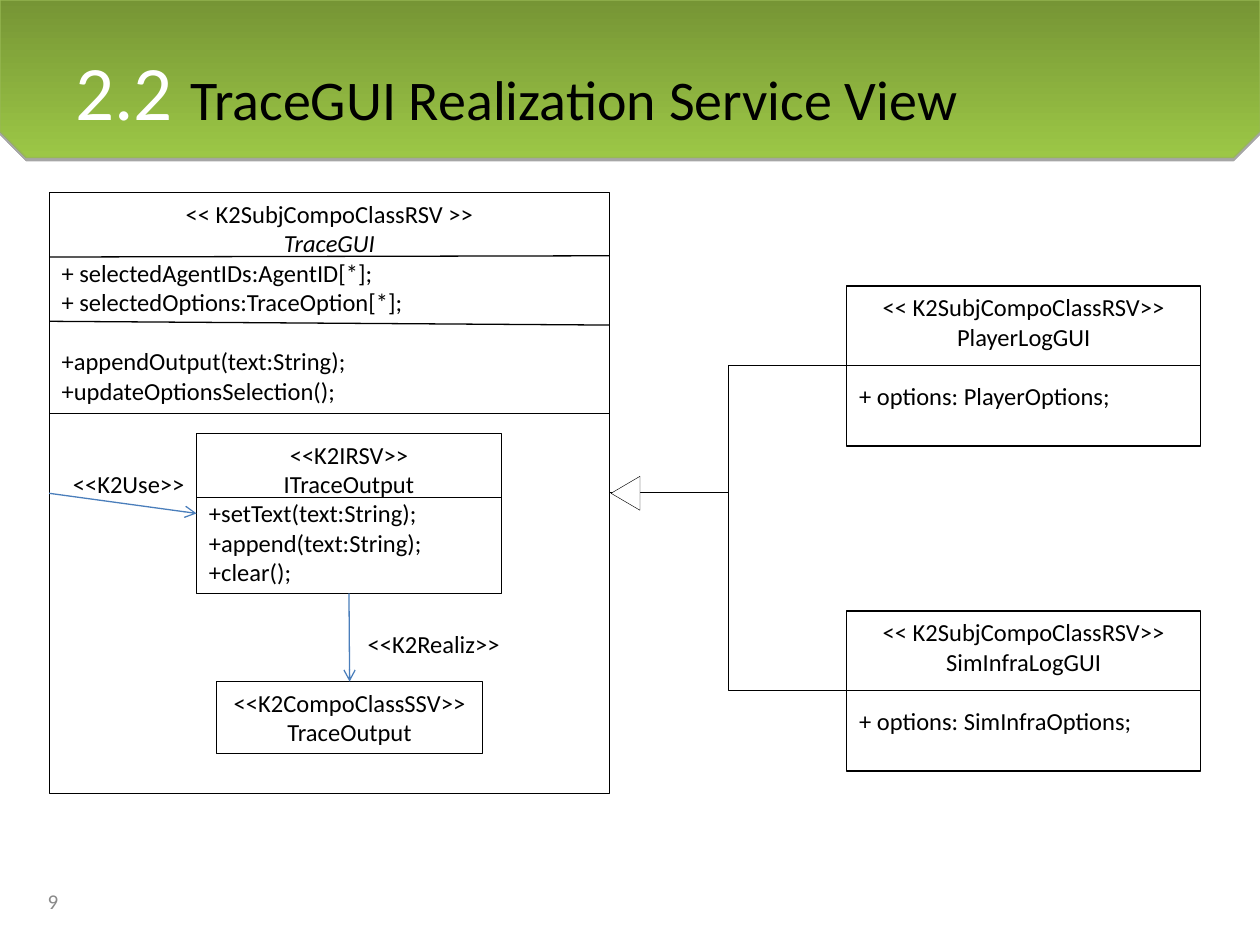
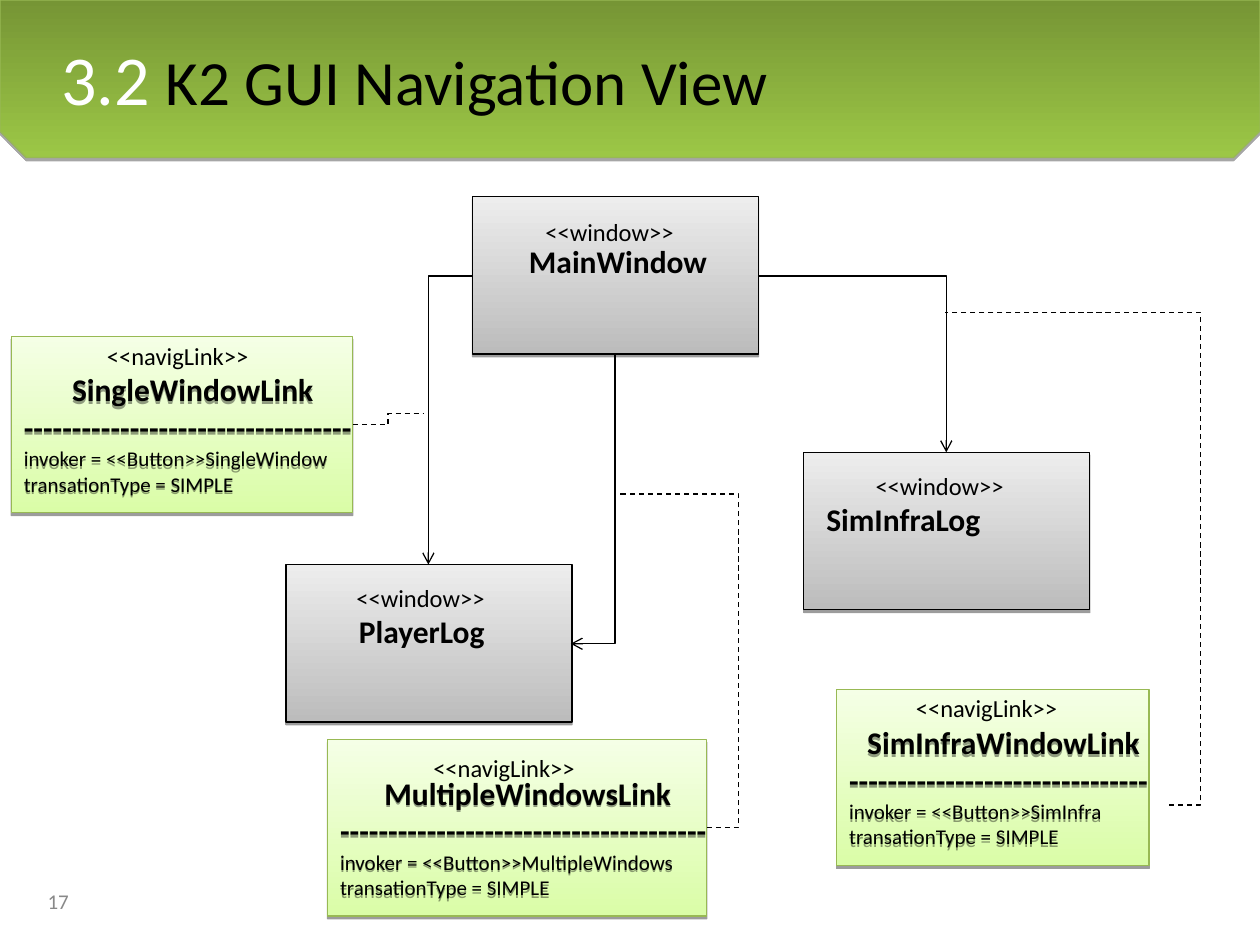
from lxml import etree
from pptx import Presentation
from pptx.dml.color import RGBColor
from pptx.enum.dml import MSO_LINE
from pptx.enum.shapes import MSO_CONNECTOR, MSO_SHAPE
from pptx.enum.text import MSO_ANCHOR, PP_ALIGN
from pptx.oxml.ns import qn
from pptx.util import Inches, Pt

RECTANGLE, TRIANGLE = MSO_SHAPE.RECTANGLE, MSO_SHAPE.ISOSCELES_TRIANGLE
STRAIGHT, ELBOW = MSO_CONNECTOR.STRAIGHT, MSO_CONNECTOR.ELBOW
LEFT, CENTER = PP_ALIGN.LEFT, PP_ALIGN.CENTER
TOP, MIDDLE = MSO_ANCHOR.TOP, MSO_ANCHOR.MIDDLE
DASH = MSO_LINE.DASH
SIDE_TOP, SIDE_LEFT, SIDE_BOTTOM = 0, 1, 2

FONT = "Calibri"
BLACK, WHITE, GREY = "000000", "FFFFFF", "898989"
ARROW_BLUE, GREEN_EDGE = "4A7EBB", "98B954"
BAND_GREENS = ("769535", "9CC746")
WINDOW_GREYS = ("EDEDED", "BCBCBC")
LINK_GREENS = ("F5FFE6", "DAFDA7")
BLANK_LINE = 17


def rgb(value):
    return RGBColor.from_string(value)


# Shared styling
def set_line(shape, color=BLACK, width=0.75):
    shape.line.color.rgb = rgb(color)
    shape.line.width = Pt(width)


def set_gradient(shape, colors):
    """Fill from the first colour at the top to the second at the bottom."""
    shape.fill.gradient()
    shape.fill.gradient_angle = 270
    for position, (stop, color) in enumerate(zip(shape.fill.gradient_stops, colors)):
        stop.color.rgb = rgb(color)
        stop.position = position


def set_shadow(shape, distance=1.6, opacity=38):
    shape.shadow.inherit = False
    effects = shape.element.spPr.find(qn("a:effectLst"))
    shadow = etree.SubElement(effects, qn("a:outerShdw"), blurRad="0",
                              dist=str(Pt(distance)), dir="5400000",
                              algn="ctr", rotWithShape="0")
    color = etree.SubElement(shadow, qn("a:srgbClr"), val=BLACK)
    etree.SubElement(color, qn("a:alpha"), val=str(opacity * 1000))


# Text
def write(frame, text, size=14, color=BLACK, bold=False, italic=False,
          align=LEFT, before=0, same_line=False):
    paragraph = frame.paragraphs[-1]
    if paragraph.runs and not same_line:
        paragraph = frame.add_paragraph()
    paragraph.alignment = align
    paragraph.space_before = Pt(before)
    run = paragraph.add_run()
    run.text = text
    run.font.name = FONT
    run.font.size = Pt(size)
    run.font.color.rgb = rgb(color)
    run.font.bold = bold
    run.font.italic = italic


def text_area(slide, left, top, width, height, anchor=TOP):
    area = slide.shapes.add_textbox(Inches(left), Inches(top),
                                    Inches(width), Inches(height))
    area.text_frame.word_wrap = True
    area.text_frame.vertical_anchor = anchor
    return area


def label(slide, text, left, top, width, size=14, bold=False):
    area = text_area(slide, left, top, width, 0.34)
    write(area.text_frame, text, size, bold=bold)


# Slide frame
def framed_slide(prs, number, title, page, title_at, sizes):
    slide = prs.slides.add_slide(prs.slide_layouts[6])
    outline = slide.shapes.build_freeform(0, 0)
    corners = [(10, 0), (10, 1.04), (9.79, 1.25), (0.21, 1.25), (0, 1.04)]
    outline.add_line_segments([(Inches(x), Inches(y)) for x, y in corners])
    band = outline.convert_to_shape()
    set_gradient(band, BAND_GREENS)
    set_line(band, GREEN_EDGE)
    set_shadow(band, 1.8, 35)

    heading = text_area(slide, *title_at, 9, 1.25).text_frame
    write(heading, number + " ", sizes[0], WHITE)
    write(heading, title, sizes[1], same_line=True)
    footer = text_area(slide, 0.28, 6.95, 2.33, 0.4, MIDDLE)
    write(footer.text_frame, page, 12, GREY)
    return slide


# Boxes and connectors
def box(slide, left, top, width, height, kind=RECTANGLE):
    shape = slide.shapes.add_shape(kind, Inches(left), Inches(top),
                                   Inches(width), Inches(height))
    shape.shadow.inherit = False
    shape.fill.background()
    set_line(shape)
    return shape


def class_box(slide, at, stereotype, name, members, abstract=False):
    """Class with a centred heading; members are (text, space before) pairs."""
    shape = box(slide, *at)
    frame = shape.text_frame
    frame.word_wrap = True
    frame.vertical_anchor = TOP
    write(frame, stereotype, align=CENTER)
    write(frame, name, italic=abstract, align=CENTER)
    for member, before in members:
        write(frame, member, before=before)
    return shape


def connector(slide, start, end, kind=STRAIGHT, color=BLACK, arrow=None,
              dash=False, preset=None, bends=()):
    line = slide.shapes.add_connector(kind, *(Inches(v) for v in (*start, *end)))
    set_line(line, color)
    if dash:
        line.line.dash_style = DASH
    properties = line.element.spPr
    if arrow:
        etree.SubElement(properties.find(qn("a:ln")), qn(f"a:{arrow}End"), type="arrow")
    etree.SubElement(properties, qn("a:effectLst"))
    geometry = properties.find(qn("a:prstGeom"))
    if preset:
        geometry.set("prst", preset)
    if bends:
        guides = geometry.find(qn("a:avLst"))
        if guides is None:
            guides = etree.SubElement(geometry, qn("a:avLst"))
        for index, bend in enumerate(bends, 1):
            etree.SubElement(guides, qn("a:gd"), name=f"adj{index}",
                             fmla=f"val {round(bend * 100000)}")
    return line


def dependency(slide, start, end, source, source_side, target, target_side):
    line = connector(slide, start, end, color=ARROW_BLUE, arrow="tail")
    line.begin_connect(source, source_side)
    line.end_connect(target, target_side)


def window(slide, left, top, name, stereotype_at, name_at):
    shape = box(slide, left, top, 2.27, 1.25)
    set_gradient(shape, WINDOW_GREYS)
    set_shadow(shape)
    label(slide, "<<window>>", *stereotype_at, 1.48)
    label(slide, name, *name_at, 2.2, 18, True)


def navigation_link(slide, left, top, width, name, dashes, invoker, stereotype_at):
    card = box(slide, left, top, width, 1.4)
    set_gradient(card, LINK_GREENS)
    set_line(card, GREEN_EDGE)
    set_shadow(card)
    details = text_area(slide, left, top + 0.22, width + 0.17, 1.3)
    set_shadow(details)
    frame = details.text_frame
    write(frame, name, 18, bold=True, align=CENTER)
    write(frame, "-" * dashes, 18, bold=True)
    write(frame, f"invoker = <<Button>>{invoker}", 12)
    write(frame, "transationType = SIMPLE", 12)
    label(slide, "<<navigLink>>", *stereotype_at, 1.72)


# Slides
def realization_view(prs):
    slide = framed_slide(prs, "2.2", "TraceGUI Realization Service View", "9",
                         (0.5, 0.3), (44, 32))

    # TraceGUI and its compartments
    trace_gui = class_box(
        slide, (0.39, 1.53, 4.45, 4.77), "<< K2SubjCompoClassRSV >>", "TraceGUI",
        [("+ selectedAgentIDs:AgentID[*];", 0),
         ("+ selectedOptions:TraceOption[*];", 0),
         ("+appendOutput(text:String);", BLANK_LINE),
         ("+updateOptionsSelection();", 0)], abstract=True)
    for left_y, right_y in [(2.04, 2.03), (2.55, 2.58), (3.28, 3.28)]:
        connector(slide, (0.39, left_y), (4.84, right_y))

    # Output interface and its realization
    interface = class_box(
        slide, (1.56, 3.44, 2.42, 1.27), "<<K2IRSV>>", "ITraceOutput",
        [("+setText(text:String);", 0), ("+append(text:String);", 0),
         ("+clear();", 0)])
    connector(slide, (1.56, 3.95), (3.98, 3.95))
    output = class_box(slide, (1.72, 5.41, 2.11, 0.57),
                       "<<K2CompoClassSSV>>", "TraceOutput", [])
    dependency(slide, (2.77, 4.71), (2.77, 5.41),
               interface, SIDE_BOTTOM, output, SIDE_TOP)
    label(slide, "<<K2Realiz>>", 2.82, 4.94, 1.4)
    dependency(slide, (0.39, 3.91), (1.56, 4.08),
               trace_gui, SIDE_LEFT, interface, SIDE_LEFT)
    label(slide, "<<K2Use>>", 0.48, 3.67, 1.25)

    # Subclasses inheriting from TraceGUI
    for top, name, options in [(2.27, "PlayerLogGUI", "PlayerOptions"),
                               (4.85, "SimInfraLogGUI", "SimInfraOptions")]:
        class_box(slide, (6.72, top, 2.81, 1.27), "<< K2SubjCompoClassRSV>>",
                  name, [(f"+ options: {options};", BLANK_LINE)])
        middle = top + 0.63
        connector(slide, (6.72, middle), (9.53, middle))
        connector(slide, (6.72, middle), (4.84, 3.91), ELBOW)
    inheritance = box(slide, 4.83, 3.8, 0.27, 0.23, TRIANGLE)
    inheritance.rotation = 270
    inheritance.fill.solid()
    inheritance.fill.fore_color.rgb = rgb(WHITE)
    set_line(inheritance, width=0.25)


def navigation_view(prs):
    slide = framed_slide(prs, "3.2", "K2 GUI Navigation View", "17",
                         (0.39, 0.23), (40, 36))

    # Windows
    window(slide, 3.75, 1.56, "MainWindow", (4.23, 1.67), (4.1, 1.87))
    window(slide, 2.27, 4.48, "PlayerLog", (2.73, 4.58), (2.75, 4.81))
    window(slide, 6.38, 3.59, "SimInfraLog", (6.85, 3.69), (6.46, 3.92))

    # Paths between windows
    for start, end, arrow in [((6.02, 2.19), (7.51, 3.59), "tail"),
                              ((3.75, 2.19), (3.4, 4.48), "tail"),
                              ((4.53, 5.11), (4.88, 2.81), "head")]:
        connector(slide, start, end, ELBOW, arrow=arrow, preset="bentConnector2")

    # Links and the paths they describe
    navigation_link(slide, 0.09, 2.67, 2.71, "SingleWindowLink", 34,
                    "SingleWindow", (0.75, 2.66))
    navigation_link(slide, 2.6, 5.87, 3.01, "MultipleWindowsLink", 38,
                    "MultipleWindows", (3.34, 5.93))
    navigation_link(slide, 6.64, 5.47, 2.48, "SimInfraWindowLink", 31,
                    "SimInfra", (7.17, 5.45))
    connector(slide, (2.8, 3.37), (3.36, 3.28), ELBOW, dash=True)
    connector(slide, (5.61, 6.57), (4.91, 3.92), ELBOW, dash=True, bends=[-0.36])
    connector(slide, (9.28, 6.39), (7.5, 2.48), ELBOW, dash=True,
              preset="bentConnector4", bends=[-0.14, 1])


def main():
    prs = Presentation()
    prs.slide_width, prs.slide_height = Inches(10), Inches(7.5)
    realization_view(prs)
    navigation_view(prs)
    prs.save("out.pptx")


if __name__ == "__main__":
    main()
